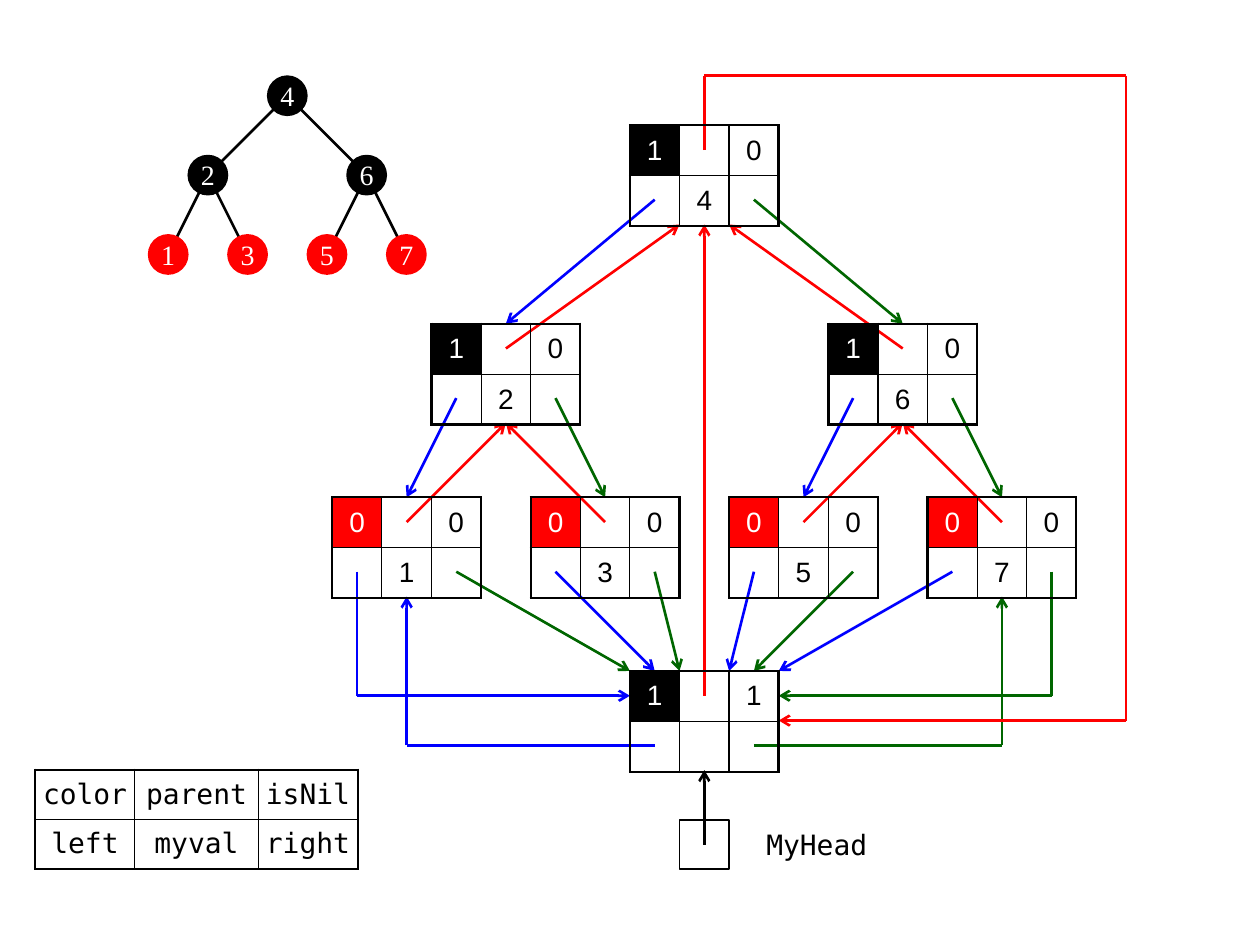
from lxml import etree
from pptx import Presentation
from pptx.dml.color import RGBColor
from pptx.enum import shapes, text
from pptx.oxml import ns
from pptx.util import Inches, Pt

COLORS = {"black": "000000", "white": "FFFFFF", "red": "FF0000",
          "blue": "0000FF", "green": "006600"}
MONO = "DejaVu Sans Mono"
NO_STYLE = "{2D5ABB26-0587-4C30-8999-92F81FD0307C}"

# The diagram lies on a grid of square cells, x counted from its centre line.
CELL = 1 / 2.54
AXIS_X, GRID_TOP = 5.59, 0.01
HEAD = (0, 13.5)
# value: (centre x, top, colour), all in cells
NODES = {4: (0, 2.5, "black"), 2: (-4, 6.5, "black"), 6: (4, 6.5, "black"),
         1: (-6, 10, "red"), 3: (-2, 10, "red"),
         5: (2, 10, "red"), 7: (6, 10, "red")}
CHILDREN = {4: (2, 6), 2: (1, 3), 6: (5, 7)}


def rgb(name):
    return RGBColor.from_string(COLORS[name])


def grid(x, y):
    """Turn grid cells into inches on the slide."""
    return AXIS_X + x * CELL, GRID_TOP + y * CELL


def style_text(tf, font, color, align=text.PP_ALIGN.CENTER):
    p = tf.paragraphs[0]
    p.alignment = align
    for r in p.runs:
        r.font.size = Pt(16)
        r.font.name = font
        r.font.color.rgb = rgb(color)


def add_line(s, start, end, color, arrow=False):
    c = s.shapes.add_connector(shapes.MSO_CONNECTOR.STRAIGHT,
                               *map(Inches, (*start, *end)))
    c.line.color.rgb = rgb(color)
    c.line.width = Pt(1.5)
    if arrow:
        etree.SubElement(c.line._get_or_add_ln(), ns.qn("a:tailEnd"), type="arrow")
    etree.SubElement(c._element.spPr, ns.qn("a:effectLst"))


def add_arrow(s, color, *points):
    """Draw a route through grid points, with a head on its last leg."""
    legs = list(zip(points, points[1:]))
    for i, (start, end) in enumerate(legs, 1):
        add_line(s, grid(*start), grid(*end), color, arrow=i == len(legs))


def add_plain_shape(s, kind, left, top, size, fill, line):
    sp = s.shapes.add_shape(kind, *map(Inches, (left, top, size, size)))
    sp.shadow.inherit = False
    sp.fill.solid()
    sp.fill.fore_color.rgb = rgb(fill)
    sp.line.color.rgb = rgb(line)
    sp.line.width = Pt(1)
    return sp


def add_circle(s, x, y, value, color):
    d = 0.31
    sp = add_plain_shape(s, shapes.MSO_SHAPE.OVAL, x - d / 2, y - d / 2, d, color, color)
    tf = sp.text_frame
    tf.margin_left = tf.margin_right = tf.margin_top = 0
    tf.margin_bottom = Inches(0.01)
    tf.vertical_anchor = text.MSO_ANCHOR.MIDDLE
    tf.text = str(value)
    style_text(tf, "Times New Roman", "white")


def set_borders(cell, outer):
    """Draw the four sides, the sides named in outer being thicker."""
    pr = cell._tc.get_or_add_tcPr()
    for side in "LRTB":
        width = Pt(1.5 if side in outer else 0.75)
        ln = etree.SubElement(pr, ns.qn("a:ln" + side), w=str(width))
        fill = etree.SubElement(ln, ns.qn("a:solidFill"))
        etree.SubElement(fill, ns.qn("a:srgbClr"), val=COLORS["black"])


def add_record(s, left, top, rows, widths, font, margins=(0, 0), flag=None):
    """Add a two-row record; flag is the fill of its first cell."""
    frame = s.shapes.add_table(len(rows), len(widths), Inches(left), Inches(top),
                               Inches(sum(widths)), Inches(CELL * len(rows)))
    table = frame.table
    table.first_row = table.horz_banding = False
    table._tbl.tblPr.find(ns.qn("a:tableStyleId")).text = NO_STYLE
    for column, width in zip(table.columns, widths):
        column.width = Inches(width)
    for i, row in enumerate(rows):
        for j, value in enumerate(row):
            cell = table.cell(i, j)
            outer = "TB"[i] + ("L" if j == 0 else "R" if j == len(row) - 1 else "")
            set_borders(cell, outer)
            cell.margin_left = cell.margin_right = Inches(margins[0])
            cell.margin_top = cell.margin_bottom = Inches(margins[1])
            cell.vertical_anchor = text.MSO_ANCHOR.MIDDLE
            cell.text = value
            flagged = flag and i == j == 0
            if flagged:
                cell.fill.solid()
                cell.fill.fore_color.rgb = rgb(flag)
            else:
                cell.fill.background()
            style_text(cell.text_frame, font, "white" if flagged else "black")


def add_node(s, x, top, color, is_nil, value):
    left, y = grid(x - 1.5, top)
    rows = [["1" if color == "black" else "0", "", is_nil], ["", value, ""]]
    add_record(s, left, y, rows, [CELL] * 3, "Arial", (0.1, 0.05), color)


def add_small_tree(s):
    step = 0.63
    centres = {4: (2.28, 0.76)}
    for parent, pair in CHILDREN.items():
        x, y = centres[parent]
        spread = step if parent == 4 else step / 2
        for child, sign in zip(pair, (-1, 1)):
            centres[child] = (x + sign * spread, y + step)
            add_line(s, (x, y), centres[child], "black")
    for value, (x, y) in centres.items():
        add_circle(s, x, y, value, NODES[value][2])


def add_tree_arrows(s):
    for parent, pair in CHILDREN.items():
        x, top, _ = NODES[parent]
        for child, sign, color in zip(pair, (-1, 1), ("blue", "green")):
            cx, ctop, _ = NODES[child]
            entry = sign * 0.5 if parent == 4 else 0
            add_arrow(s, color, (x + sign, top + 1.5), (cx, ctop))
            add_arrow(s, "red", (cx, ctop + 0.5), (x + entry, top + 2))


def add_head_arrows(s):
    hx, htop = HEAD
    root_x, root_top, _ = NODES[4]
    for sign, outer, inner, near, far in ((-1, 1, 3, "blue", "green"),
                                          (1, 7, 5, "green", "blue")):
        ox, otop, _ = NODES[outer]
        ix, itop, _ = NODES[inner]
        side = hx + sign * 1.5
        add_arrow(s, far, (ox - sign, otop + 1.5), (side, htop))
        add_arrow(s, near, (ix + sign, itop + 1.5), (hx + sign, htop))
        add_arrow(s, far, (ix - sign, itop + 1.5), (hx + sign * 0.5, htop))
        add_arrow(s, near, (ox + sign, otop + 1.5), (ox + sign, htop + 0.5),
                  (side, htop + 0.5))
        add_arrow(s, near, (hx + sign, htop + 1.5), (ox, htop + 1.5), (ox, otop + 2))
    add_arrow(s, "red", (hx, htop + 0.5), (root_x, root_top + 2))
    add_arrow(s, "red", (root_x, root_top + 0.5), (root_x, 1.5), (8.5, 1.5),
              (8.5, htop + 1), (hx + 1.5, htop + 1))


def add_my_head(s):
    x, y = HEAD[0], HEAD[1] + 3
    add_plain_shape(s, shapes.MSO_SHAPE.RECTANGLE, *grid(x - 0.5, y), CELL,
                    "white", "black")
    add_arrow(s, "black", (x, y + 0.5), (x, y - 1))
    label = s.shapes.add_textbox(*map(Inches, (*grid(x + 1, y), 3 * CELL, CELL)))
    tf = label.text_frame
    tf.word_wrap = True
    tf.vertical_anchor = text.MSO_ANCHOR.MIDDLE
    tf.text = "MyHead"
    style_text(tf, MONO, "black", text.PP_ALIGN.LEFT)


def main():
    prs = Presentation()
    prs.slide_width, prs.slide_height = Inches(10), Inches(7.5)
    s = prs.slides.add_slide(prs.slide_layouts[6])
    add_small_tree(s)
    add_tree_arrows(s)
    add_head_arrows(s)
    add_my_head(s)
    for value, (x, top, color) in NODES.items():
        add_node(s, x, top, color, "0", str(value))
    add_node(s, *HEAD, "black", "1", "")
    fields = [["color", "parent", "isNil"], ["left", "myval", "right"]]
    add_record(s, 0.28, 6.11, fields, [0.79, 0.98, 0.79], MONO)
    prs.save("out.pptx")


if __name__ == "__main__":
    main()
